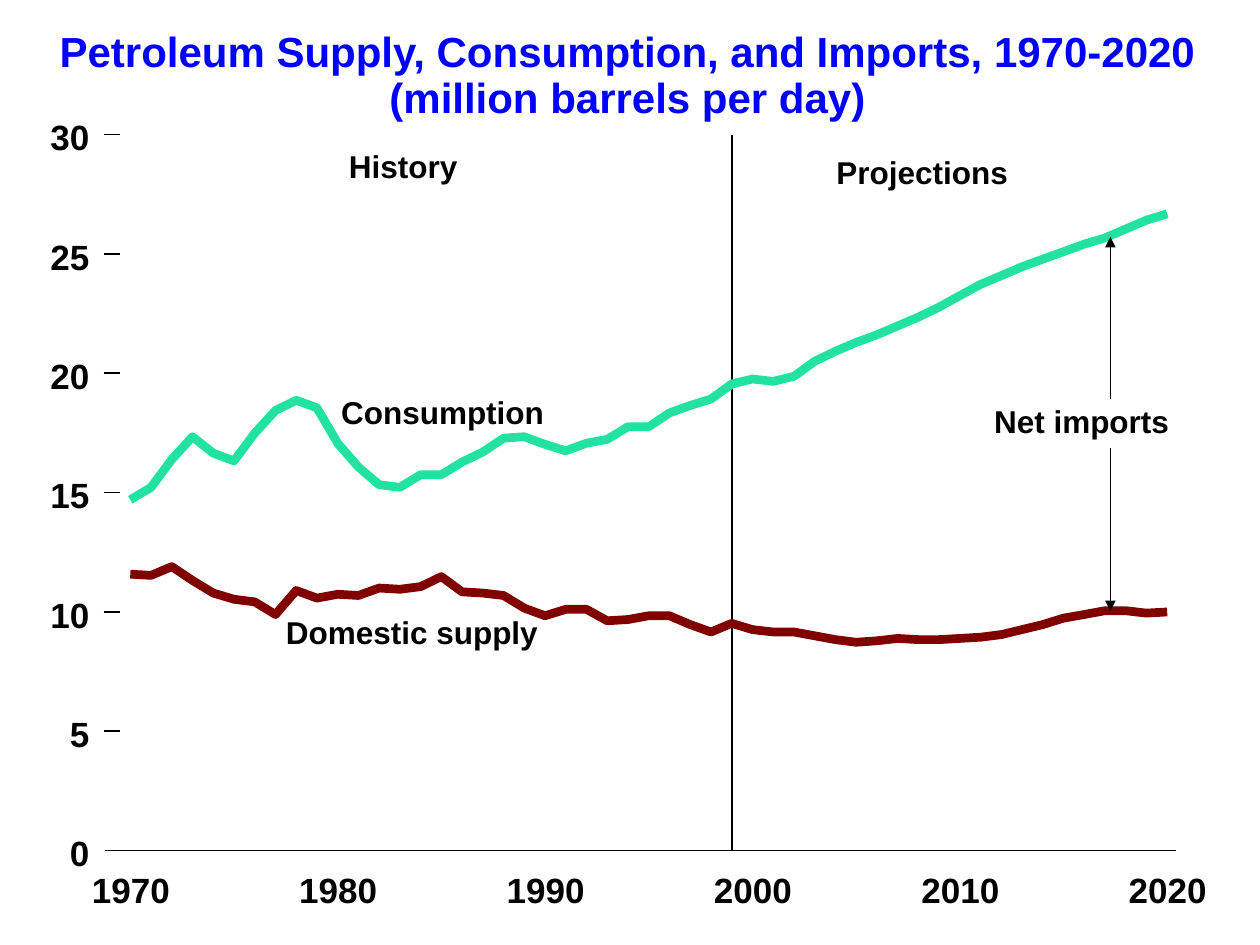
import dataclasses

import pptx
import pptx.dml.color
import pptx.enum.shapes
import pptx.enum.text
import pptx.oxml
import pptx.oxml.ns
import pptx.util

Pt = pptx.util.Pt
ALIGN = pptx.enum.text.PP_ALIGN


@dataclasses.dataclass(frozen=True)
class Theme:
    font: str = "Arial"
    title_color: str = "0000FF"
    ink: str = "000000"
    consumption: str = "22E2A1"
    supply: str = "800000"
    title_size: float = 24
    axis_size: float = 20
    label_size: float = 18
    series_width: float = 5
    rule_width: float = 1
    thin_width: float = 0.75


THEME = Theme()

FIRST_YEAR, LAST_YEAR = 1970, 2020
PLOT_LEFT, YEAR_STEP = 74.5, 11.85
PLOT_BOTTOM, UNIT_HEIGHT = 486.1, 13.64
DIGIT_WIDTH = 11.25

# Million barrels per day, one value a year
CONSUMPTION = [
    14.7, 15.22, 16.39, 17.34, 16.65, 16.33, 17.49, 18.44, 18.87, 18.55,
    17.07, 16.07, 15.33, 15.22, 15.75, 15.75, 16.28, 16.7, 17.28, 17.34,
    17.02, 16.75, 17.07, 17.23, 17.76, 17.76, 18.34, 18.65, 18.92, 19.55,
    19.76, 19.66, 19.87, 20.5, 20.92, 21.29, 21.61, 21.98, 22.35, 22.77,
    23.25, 23.72, 24.09, 24.46, 24.78, 25.09, 25.41, 25.67, 26.04, 26.41,
    26.68,
]
SUPPLY = [
    11.58, 11.53, 11.9, 11.32, 10.79, 10.53, 10.42, 9.89, 10.9, 10.58,
    10.74, 10.69, 11.0, 10.95, 11.06, 11.48, 10.84, 10.79, 10.69, 10.16,
    9.84, 10.11, 10.11, 9.63, 9.68, 9.84, 9.84, 9.47, 9.16, 9.52,
    9.26, 9.16, 9.16, 9.0, 8.84, 8.73, 8.79, 8.89, 8.84, 8.84,
    8.89, 8.94, 9.05, 9.26, 9.47, 9.74, 9.89, 10.05, 10.05, 9.95,
    10.0,
]

# Text, left, top, width
LABELS = [
    ("Domestic supply", 163.4, 350.6, 144),
    ("Consumption", 195, 224.6, 116),
    ("History", 199.4, 84.2, 62),
    ("Projections", 478, 87.5, 98),
    ("Net imports", 568.1, 230, 100),
]


def year_x(year):
    return PLOT_LEFT + (year - FIRST_YEAR) * YEAR_STEP


def value_y(value):
    return PLOT_BOTTOM - value * UNIT_HEIGHT


def set_attributes(target, values):
    for name, value in values.items():
        setattr(target, name, value)


class SlideBuilder:
    def __init__(self, slide, theme):
        self.slide = slide
        self.theme = theme

    def style_line(self, line, color, width):
        line.color.rgb = pptx.dml.color.RGBColor.from_string(color)
        line.width = Pt(width)

    def text(self, lines, left, top, width, height, size, color=None,
             alignment=ALIGN.CENTER, line_spacing=None):
        box = self.slide.shapes.add_textbox(Pt(left), Pt(top), Pt(width), Pt(height))
        frame = box.text_frame
        set_attributes(frame, {
            "margin_left": 0, "margin_top": 0, "margin_right": 0, "margin_bottom": 0,
            "word_wrap": False,
            "auto_size": pptx.enum.text.MSO_AUTO_SIZE.SHAPE_TO_FIT_TEXT,
        })
        frame.text = "\n".join(lines)
        for paragraph in frame.paragraphs:
            set_attributes(paragraph, {"alignment": alignment, "line_spacing": line_spacing})
            set_attributes(paragraph.font, {
                "name": self.theme.font, "size": Pt(size), "bold": True})
            paragraph.font.color.rgb = pptx.dml.color.RGBColor.from_string(
                color or self.theme.ink)

    def line(self, start, end, width, arrow=False):
        connector = self.slide.shapes.add_connector(
            pptx.enum.shapes.MSO_CONNECTOR.STRAIGHT, *map(Pt, start + end))
        self.style_line(connector.line, self.theme.ink, width)
        if arrow:
            head = pptx.oxml.parse_xml(
                f'<a:tailEnd {pptx.oxml.ns.nsdecls("a")} type="triangle"/>')
            connector.line._get_or_add_ln().append(head)
        connector._element.spPr.append(
            pptx.oxml.parse_xml(f'<a:effectLst {pptx.oxml.ns.nsdecls("a")}/>'))

    def series(self, values, color):
        """Draw yearly values as an open outline."""
        points = [(Pt(year_x(FIRST_YEAR + index)), Pt(value_y(value)))
                  for index, value in enumerate(values)]
        builder = self.slide.shapes.build_freeform(*points[0])
        builder.add_line_segments(points[1:], close=False)
        shape = builder.convert_to_shape()
        shape.shadow.inherit = False
        shape.fill.background()
        self.style_line(shape.line, color, self.theme.series_width)


def main():
    presentation = pptx.Presentation()
    set_attributes(presentation, {"slide_width": Pt(720), "slide_height": Pt(540)})
    slide = presentation.slides.add_slide(presentation.slide_layouts[6])
    builder = SlideBuilder(slide, THEME)

    builder.text(
        ["Petroleum Supply, Consumption, and Imports, 1970-2020",
         "(million barrels per day)"],
        33.1, 18, 651, 51.8, THEME.title_size, THEME.title_color, line_spacing=0.9)

    projection_x = year_x(1999)
    builder.line((projection_x, value_y(30)), (projection_x, PLOT_BOTTOM), THEME.rule_width)
    builder.series(CONSUMPTION, THEME.consumption)
    builder.series(SUPPLY, THEME.supply)

    for value in range(5, 31, 5):
        builder.line((59.2, value_y(value)), (68.4, value_y(value)), THEME.rule_width)
    for year in range(FIRST_YEAR, LAST_YEAR + 1, 10):
        width = 4 * DIGIT_WIDTH
        builder.text([str(year)], year_x(year) - width / 2 + 0.3, 496.1, width, 24,
                     THEME.axis_size)
    for value in range(0, 31, 5):
        width = len(str(value)) * DIGIT_WIDTH
        builder.text([str(value)], 51.1 - width, value_y(value) - 10.8, width, 24,
                     THEME.axis_size, alignment=ALIGN.RIGHT)
    for label, left, top, width in LABELS:
        builder.text([label], left, top, width, 21.6, THEME.label_size)

    for start_y, end_y in ((228.2, 135.4), (256.3, 349.2)):
        builder.line((634.5, start_y), (634.5, end_y), THEME.thin_width, arrow=True)
    builder.line((59.8, PLOT_BOTTOM), (671.8, PLOT_BOTTOM), THEME.thin_width)

    presentation.save("out.pptx")


if __name__ == "__main__":
    main()
